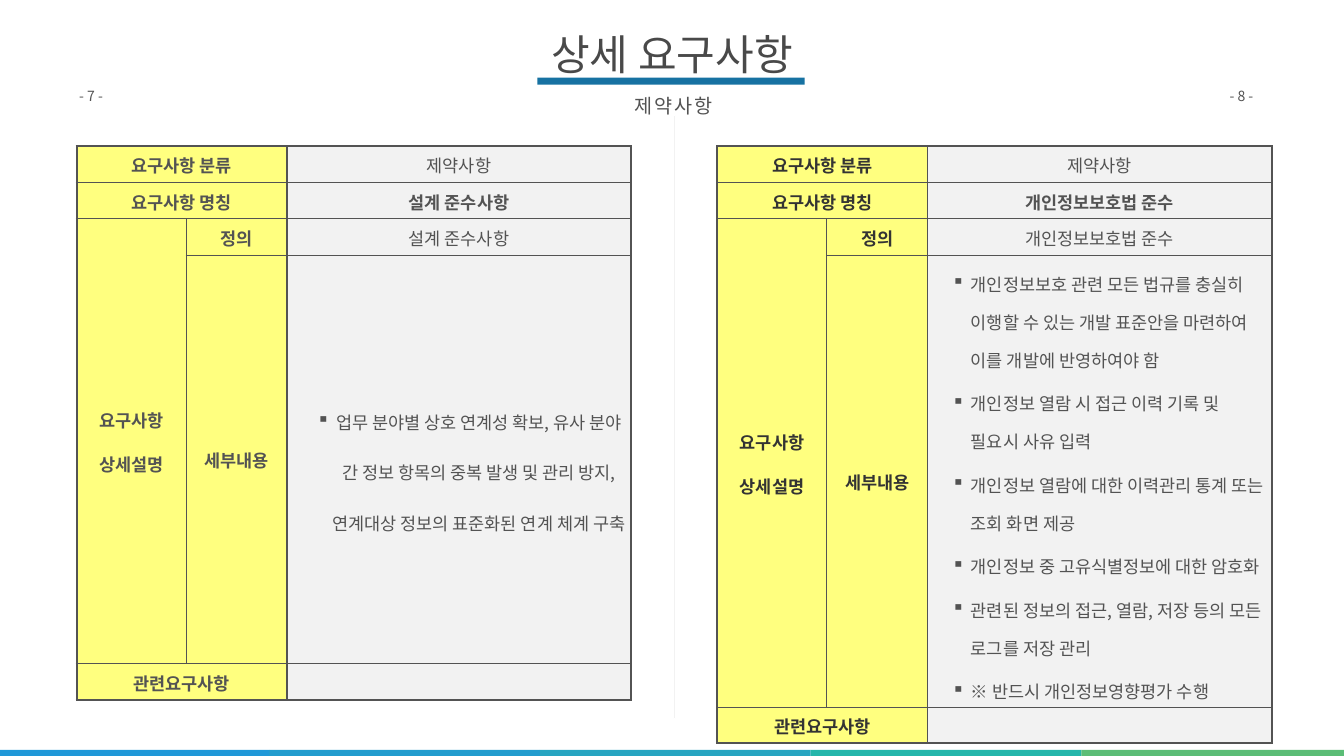
from dataclasses import dataclass, replace
from typing import NamedTuple

from lxml.etree import SubElement
from pptx import Presentation
from pptx.dml.color import RGBColor
from pptx.enum.shapes import MSO_SHAPE
from pptx.enum.text import MSO_ANCHOR, MSO_AUTO_SIZE, PP_ALIGN
from pptx.oxml.ns import qn
from pptx.util import Inches, Pt

FONT = "Noto Sans CJK KR"
GRAY = RGBColor(0x53, 0x53, 0x53)
DARK = RGBColor(0x33, 0x33, 0x33)
TITLE = RGBColor(0x49, 0x49, 0x49)
PALE = RGBColor(0xF2, 0xF2, 0xF2)
WHITE = RGBColor(0xFF, 0xFF, 0xFF)
YELLOW = RGBColor(0xFF, 0xFF, 0x00)
BLUE = RGBColor(0x17, 0x72, 0xA2)
BANDS = (RGBColor(0x1F, 0x98, 0xD8), RGBColor(0x22, 0x9C, 0xCE),
         RGBColor(0x27, 0xA5, 0xC1), RGBColor(0x24, 0xB6, 0xAB),
         RGBColor(0x5B, 0xBD, 0x76))
COLS = (2.17, 2, 6.83)
ROWS = (0.72, 0.72, 0.72, 8.11, 0.72)
VERT = (3, 1, 2.25, 3)
HORZ = (3, 1, 1, 1, 1, 3)
PLAIN = "{2D5ABB26-0587-4C30-8999-92F81FD0307C}"


class Box(NamedTuple):
    left: float
    top: float
    width: float
    height: float


@dataclass(frozen=True)
class Style:
    size: float
    color: RGBColor = GRAY
    bold: bool = False
    align: PP_ALIGN = PP_ALIGN.CENTER
    line: float = 1
    before: float = 0
    after: float = 0
    bullet: bool = False
    track: int = 0


class Spec(NamedTuple):
    left: float
    color: RGBColor
    name: str
    items: tuple
    detail: Style


class Label(NamedTuple):
    box: Box
    text: str
    style: Style
    pad: tuple
    anchor: MSO_ANCHOR = MSO_ANCHOR.TOP
    wrap: bool = True


BODY = Style(25, line=1.07, after=8)
HEAD = Style(25, bold=True, line=1.07, before=12, after=12)
PAGE = Style(20, align=PP_ALIGN.LEFT)
LIST = replace(BODY, bullet=True, line=2)

SPECS = (
    Spec(1.52, GRAY, "설계 준수사항", (
        "업무 분야별 상호 연계성 확보, 유사 분야 간 정보 항목의 중복 발생 및 관리 방지, "
        "연계대상 정보의 표준화된 연계 체계 구축",), LIST),
    Spec(14.23, DARK, "개인정보보호법 준수", (
        "개인정보보호 관련 모든 법규를 충실히 이행할 수 있는 개발 표준안을 마련하여 "
        "이를 개발에 반영하여야 함",
        "개인정보 열람 시 접근 이력 기록 및 필요시 사유 입력",
        "개인정보 열람에 대한 이력관리 통계 또는 조회 화면 제공",
        "개인정보 중 고유식별정보에 대한 암호화",
        "관련된 정보의 접근, 열람, 저장 등의 모든 로그를 저장 관리",
        "※ 반드시 개인정보영향평가 수행"),
        replace(LIST, line=1.5, align=PP_ALIGN.LEFT)),
)
LABELS = (
    Label(Box(1.52, 1.68, 0.94, 0.44), "- 7 -", PAGE, (0.05, 0.05)),
    Label(Box(24.34, 1.68, 0.9, 0.44), "- 8 -", PAGE, (0.05, 0.05)),
    Label(Box(10.53, 0.44, 5.6, 1.24), "상세 요구사항", Style(60, TITLE),
          (0.12, 0.12), MSO_ANCHOR.MIDDLE),
    Label(Box(12.33, 1.65, 2.05, 0.78), "제약사항", Style(28, line=1.2, track=300),
          (0.24, 0.12), wrap=False),
)


def write(frame, lines: tuple, style: Style) -> None:
    """Put styled paragraphs into a text frame."""
    for n, text in enumerate(lines):
        para = frame.paragraphs[0] if n == 0 else frame.add_paragraph()
        para.text = text
        para.alignment = style.align
        para.line_spacing = style.line
        para.space_after = Pt(style.after)
        if n:
            para.space_before = Pt(style.before)
        props = para._p.get_or_add_pPr()
        if style.bullet:
            props.set("marL", str(Inches(0.79)))
            props.set("indent", str(Inches(-0.38)))
            SubElement(props, qn("a:buChar")).set("char", "▪")
        font = para.font
        font.size, font.bold, font.name = Pt(style.size), style.bold, FONT
        font.color.rgb = style.color
        base = props.find(qn("a:defRPr"))
        SubElement(base, qn("a:ea")).set("typeface", FONT)
        if style.track:
            base.set("spc", str(style.track))


def rect(slide, box: Box, color: RGBColor):
    """Draw a plain rectangle."""
    shape = slide.shapes.add_shape(MSO_SHAPE.RECTANGLE, *map(Inches, box))
    shape.shadow.inherit = False
    shape.fill.solid()
    shape.fill.fore_color.rgb = color
    shape.line.fill.background()
    return shape


def label(slide, item: Label) -> None:
    """Draw a text box."""
    frame = slide.shapes.add_textbox(*map(Inches, item.box)).text_frame
    frame.margin_left = frame.margin_right = Inches(item.pad[0])
    frame.margin_top = frame.margin_bottom = Inches(item.pad[1])
    frame.vertical_anchor = item.anchor
    frame.word_wrap = item.wrap
    frame.auto_size = MSO_AUTO_SIZE.SHAPE_TO_FIT_TEXT
    write(frame, (item.text,), item.style)


def dress(cell, row: int, col: int) -> None:
    """Give a cell its borders, fill and margins."""
    props = cell._tc.get_or_add_tcPr()
    edges = {"L": VERT[col], "R": VERT[col + cell.span_width],
             "T": HORZ[row], "B": HORZ[row + cell.span_height]}
    for side, width in edges.items():
        line = SubElement(props, qn(f"a:ln{side}"), w=str(Pt(width)))
        fill = SubElement(line, qn("a:solidFill"))
        SubElement(fill, qn("a:srgbClr"), val=str(GRAY))
    head = col < 2
    cell.fill.solid()
    cell.fill.fore_color.rgb = YELLOW if head else PALE
    if head:
        tint = props.find(qn("a:solidFill")).find(qn("a:srgbClr"))
        SubElement(tint, qn("a:alpha"), val="50000")
    pad = Inches(0.01 if head else 0.07)
    cell.margin_left = cell.margin_right = pad
    cell.margin_top = cell.margin_bottom = pad
    cell.vertical_anchor = MSO_ANCHOR.MIDDLE


def sheet(slide, spec: Spec) -> None:
    """Draw one requirement table."""
    box = Box(spec.left, 2.9, sum(COLS), sum(ROWS))
    frame = slide.shapes.add_table(len(ROWS), len(COLS), *map(Inches, box))
    table = frame.table
    table.first_row = table.horz_banding = False
    table._tbl.tblPr.find(qn("a:tableStyleId")).text = PLAIN
    for col, width in zip(table.columns, COLS):
        col.width = Inches(width)
    for row, height in zip(table.rows, ROWS):
        row.height = Inches(height)
    for row in (0, 1, 4):
        table.cell(row, 0).merge(table.cell(row, 1))
    table.cell(2, 0).merge(table.cell(3, 0))
    for row in range(len(ROWS)):
        for col in range(len(COLS)):
            cell = table.cell(row, col)
            if not cell.is_spanned:
                dress(cell, row, col)
    head = replace(HEAD, color=spec.color)
    texts = {
        (0, 0): (("요구사항 분류",), head),
        (0, 2): (("제약사항",), BODY),
        (1, 0): (("요구사항 명칭",), head),
        (1, 2): ((spec.name,), replace(BODY, bold=True)),
        (2, 0): (("요구사항", "상세설명"), head),
        (2, 1): (("정의",), head),
        (2, 2): ((spec.name,), BODY),
        (3, 1): (("세부내용",), head),
        (3, 2): (spec.items, spec.detail),
        (4, 0): (("관련요구사항",), head),
    }
    for (row, col), (lines, style) in texts.items():
        write(table.cell(row, col).text_frame, lines, style)


def main() -> None:
    """Build and save the slide."""
    deck = Presentation()
    deck.slide_width, deck.slide_height = Inches(26.66), Inches(15)
    slide = deck.slides.add_slide(deck.slide_layouts[6])
    for n, color in enumerate(BANDS):
        rect(slide, Box(-0.03 + n * 5.37, 14.88, 5.37, 0.2), color)
    rule = rect(slide, Box(7.4, 8.25, 11.96, 0.05), PALE)
    rule.rotation = 90
    rule.line.color.rgb = WHITE
    rule.line.width = Pt(1)
    for spec in SPECS:
        sheet(slide, spec)
    rect(slide, Box(10.66, 1.54, 5.3, 0.14), BLUE)
    for item in LABELS:
        label(slide, item)
    deck.save("out.pptx")


if __name__ == "__main__":
    main()
